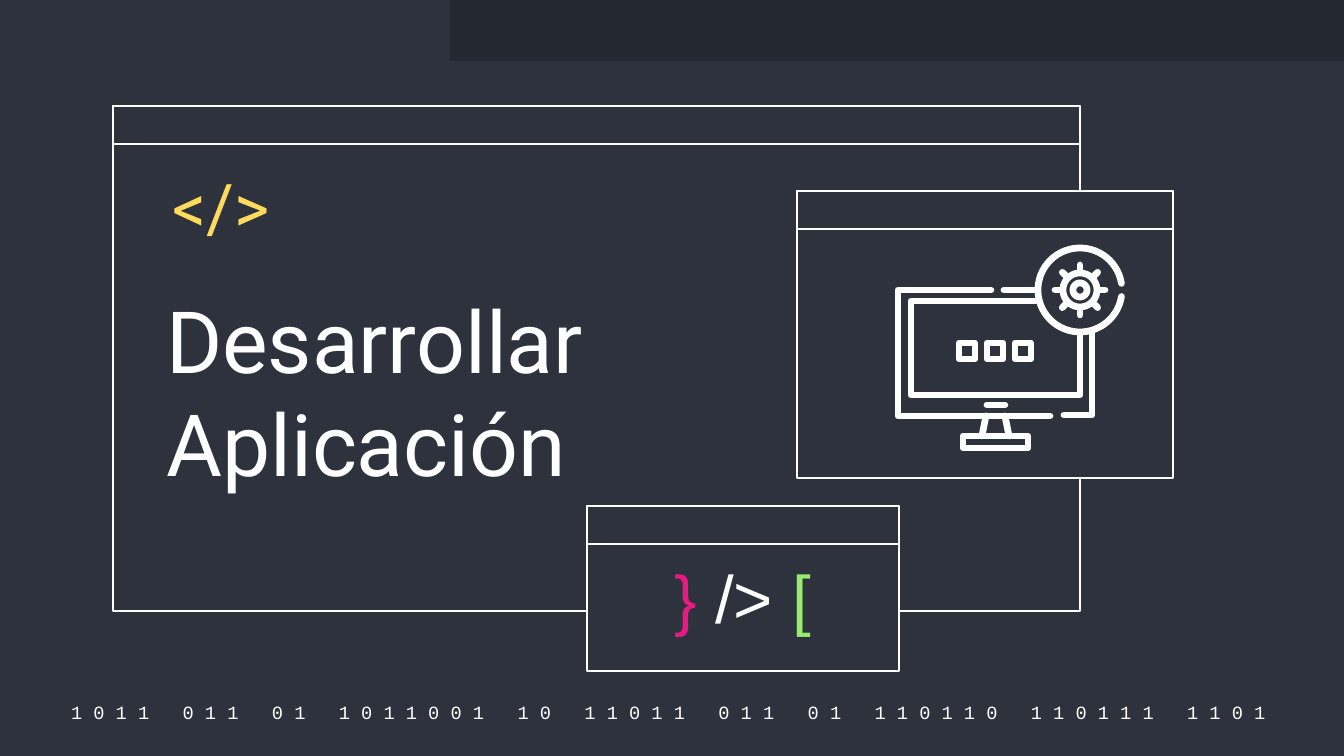
import math

from lxml import etree
from pptx import Presentation
from pptx import util as u
from pptx.dml.color import RGBColor
from pptx.enum import shapes, text
from pptx.oxml.ns import qn

PX = u.Inches(10) / 1344

DARK = RGBColor(0x2D, 0x32, 0x3C)
DARKER = RGBColor(0x24, 0x28, 0x30)
WHITE = RGBColor(0xFF, 0xFF, 0xFF)
YELLOW = RGBColor(0xFF, 0xDB, 0x5D)
PINK = RGBColor(0xE8, 0x19, 0x81)
GREEN = RGBColor(0x94, 0xEE, 0x6B)

BAR_H = 38
BINARY = "1011 011 01 1011001 10 11011 011 01 110110 110111 1101"
STROKE = u.Pt(3.6)
GEAR_X, GEAR_Y = 1080, 290


def px(n):
    return u.Emu(round(n * PX))


def add_rect(parent, box, fill, line=None):
    sp = parent.add_shape(shapes.MSO_SHAPE.RECTANGLE, *map(px, box))
    sp.shadow.inherit = False
    sp.fill.solid()
    sp.fill.fore_color.rgb = fill
    if line is None:
        sp.line.fill.background()
    else:
        sp.line.color.rgb = line
        sp.line.width = u.Pt(0.75)
    return sp


def add_window(s, x, y, w, h):
    """Outlined window with a title bar across its top."""
    group = s.shapes.add_group_shape()
    for height in (h, BAR_H):
        add_rect(group.shapes, (x, y, w, height), DARK, WHITE)


def add_text(s, box, runs, font, size, align, spacing=None,
             anchor=text.MSO_ANCHOR.TOP):
    """Text box with one paragraph; runs are (wording, colour) pairs."""
    tf = s.shapes.add_textbox(*map(px, box)).text_frame
    frame = dict(word_wrap=True, vertical_anchor=anchor,
                 auto_size=text.MSO_AUTO_SIZE.NONE)
    for side in ("left", "right", "top", "bottom"):
        frame["margin_" + side] = u.Inches(0.1)
    for name, value in frame.items():
        setattr(tf, name, value)
    p = tf.paragraphs[0]
    p.alignment = align
    p.line_spacing = spacing
    for wording, colour in runs:
        r = p.add_run()
        r.text = wording
        for name, value in dict(name=font, size=u.Pt(size)).items():
            setattr(r.font, name, value)
        r.font.color.rgb = colour


def add_strokes(parent, *paths):
    """One unfilled outline of thick round strokes; each path is (points, closed)."""
    builder = None
    for points, closed in paths:
        first, *rest = [(px(x), px(y)) for x, y in points]
        if builder is None:
            builder = parent.build_freeform(*first, scale=1.0)
        else:
            builder.move_to(*first)
        builder.add_line_segments(rest, close=closed)
    sp = builder.convert_to_shape()
    sp.shadow.inherit = False
    sp.fill.background()
    sp.line.color.rgb = WHITE
    sp.line.width = STROKE
    ln = sp._element.spPr.find(qn("a:ln"))
    ln.set("cap", "rnd")
    etree.SubElement(ln, qn("a:round"))


def polar(radius, degrees):
    """Point around the centre of the gear."""
    angle = math.radians(degrees)
    return GEAR_X + radius * math.cos(angle), GEAR_Y + radius * math.sin(angle)


def arc(radius, start=0, end=360):
    return [polar(radius, a) for a in range(start, end + 1, 6)]


def box_points(x, y, w, h):
    return [(x, y), (x + w, y), (x + w, y + h), (x, y + h)]


def add_monitor_icon(s):
    icon = s.shapes.add_group_shape().shapes
    # Outer frame, neck and base
    add_strokes(icon,
                ([(991, 290), (898, 290), (898, 416), (1050, 416)], False),
                ([(986, 416), (982, 436)], False),
                ([(1005, 416), (1009, 436)], False),
                (box_points(963, 436, 65, 12), True))
    # Power light
    add_strokes(icon, ([(987, 405), (1005, 405)], False))
    for i in range(3):
        add_strokes(icon, (box_points(959 + 28 * i, 343, 16, 16), True))
    # Screen, right side of the frame and ring around the gear
    add_strokes(icon,
                ([(1036, 301), (911, 301), (911, 395), (1080, 395),
                  (1080, 334)], False),
                ([(1004, 290), (1036, 290)], False),
                ([(1092, 332), (1092, 415), (1064, 415)], False),
                (arc(42, 9, 351), False))
    # Gear with eight teeth, then its hub
    teeth = [([polar(19, a), polar(25, a)], False) for a in range(0, 360, 45)]
    add_strokes(icon, (arc(17), True), *teeth)
    add_strokes(icon, (arc(7), True))


def main():
    prs = Presentation()
    prs.slide_width, prs.slide_height = px(1344), px(756)
    s = prs.slides.add_slide(prs.slide_layouts[6])
    s.background.fill.solid()
    s.background.fill.fore_color.rgb = DARK

    align = text.PP_ALIGN
    add_text(s, (45, 699, 1246, 27), [(" ".join(BINARY), WHITE)],
             "Courier New", 10, align.CENTER, anchor=text.MSO_ANCHOR.MIDDLE)
    add_rect(s.shapes, (450, 0, 894, 61), DARKER)
    add_window(s, 113, 106, 967, 505)
    add_window(s, 587, 506, 312, 165)
    add_window(s, 797, 191, 376, 287)
    add_text(s, (153, 274, 579, 121), [("Desarrollar Aplicación", WHITE)],
             "Roboto", 46, align.JUSTIFY)
    add_text(s, (124, 161, 159, 83), [("</>", YELLOW)],
             "Roboto", 36, align.RIGHT, 0.9)
    add_text(s, (653, 552, 179, 110),
             [("}", PINK), (" /> ", WHITE), ("[", GREEN)],
             "Arial", 36, align.CENTER, 0.9)
    add_monitor_icon(s)
    prs.save("out.pptx")


if __name__ == "__main__":
    main()
